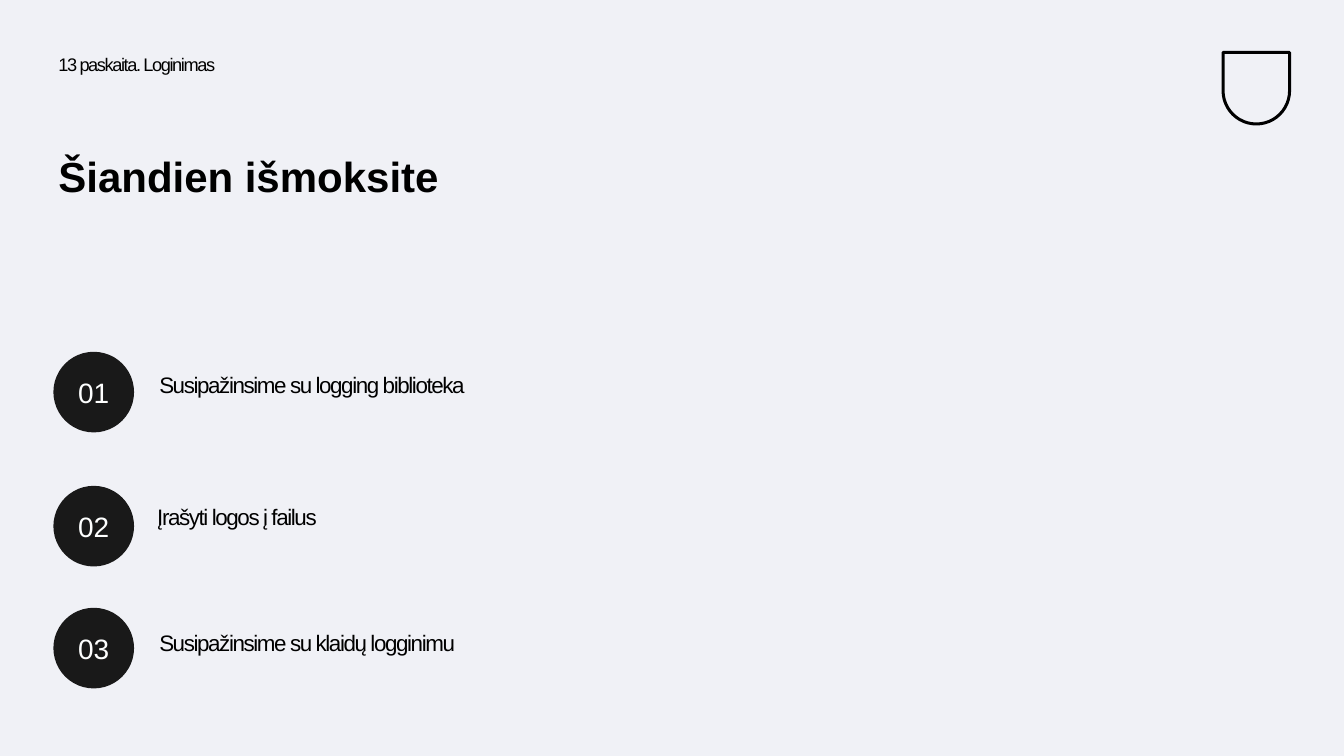
from dataclasses import dataclass

from pptx import Presentation
from pptx.dml.color import RGBColor
from pptx.enum.shapes import MSO_SHAPE
from pptx.enum.text import MSO_ANCHOR, PP_ALIGN
from pptx.oxml.ns import qn
from pptx.util import Emu, Pt

SCALE = 9144
FONT = "Arial"
BLACK = "000000"
PAPER = "F0F1F6"
DARK = "191919"
WHITE = "FEFFFF"
DISC = 80


@dataclass
class Label:
    text: str
    left: int
    top: int
    width: int
    height: int
    size: int
    bold: bool = False
    tight: bool = True


@dataclass
class Step:
    number: str
    top: int
    label: Label


HEADS = [
    Label("13 paskaita. Loginimas", 53, 50, 614, 49, 13),
    Label("Šiandien išmoksite", 53, 150, 563, 56, 30, bold=True, tight=False),
]
STEPS = [
    Step("01", 349, Label("Susipažinsime su logging biblioteka", 153, 366, 463, 38, 16)),
    Step("02", 482, Label("Įrašyti logos į failus", 151, 497, 463, 38, 16)),
    Step("03", 603, Label("Susipažinsime su klaidų logginimu", 153, 622, 463, 38, 16)),
]


def px(count: int) -> Emu:
    """Turn px into EMU."""
    return Emu(count * SCALE)


def color(code: str) -> RGBColor:
    """Turn a hex string into a colour."""
    return RGBColor.from_string(code)


def write(shape, text: str, size: int, ink: str, bold: bool = False):
    """Put one styled paragraph into a shape and return it."""
    frame = shape.text_frame
    frame.word_wrap = True
    frame.margin_left = frame.margin_right = px(5)
    frame.margin_top = frame.margin_bottom = px(5)
    para = frame.paragraphs[0]
    para.text = text
    para.font.name = FONT
    para.font.size = Pt(size)
    para.font.bold = bold
    para.font.color.rgb = color(ink)
    return para


def add_label(slide, label: Label) -> None:
    """Draw a left-aligned text box."""
    box = slide.shapes.add_textbox(
        px(label.left), px(label.top), px(label.width), px(label.height)
    )
    para = write(box, label.text, label.size, BLACK, label.bold)
    para.line_spacing = 0.9
    if label.tight:
        para.space_before = Pt(10)
        para._p.pPr.find(qn("a:defRPr")).set("spc", "-100")


def add_step(slide, step: Step) -> None:
    """Draw a numbered disc and its label."""
    disc = slide.shapes.add_shape(
        MSO_SHAPE.OVAL, px(53), px(step.top), px(DISC), px(DISC)
    )
    disc.shadow.inherit = False
    disc.fill.solid()
    disc.fill.fore_color.rgb = color(DARK)
    disc.line.fill.background()
    para = write(disc, step.number, 20, WHITE)
    para.alignment = PP_ALIGN.CENTER
    disc.text_frame.vertical_anchor = MSO_ANCHOR.MIDDLE
    add_label(slide, step.label)


def add_badge(slide) -> None:
    """Draw a plain shield outline in the top right corner."""
    badge = slide.shapes.add_shape(
        MSO_SHAPE.ROUND_2_SAME_RECTANGLE, px(1213), px(52), px(66), px(71)
    )
    badge.adjustments[0] = 0.5
    badge.rotation = 180
    badge.shadow.inherit = False
    badge.fill.background()
    badge.line.color.rgb = color(BLACK)
    badge.line.width = px(3)


def main() -> None:
    """Build the slide and save it."""
    deck = Presentation()
    deck.slide_width = px(1333)
    deck.slide_height = px(750)
    slide = deck.slides.add_slide(deck.slide_layouts[6])
    slide.background.fill.solid()
    slide.background.fill.fore_color.rgb = color(PAPER)
    add_badge(slide)
    for head in HEADS:
        add_label(slide, head)
    for step in STEPS:
        add_step(slide, step)
    deck.save("out.pptx")


if __name__ == "__main__":
    main()
